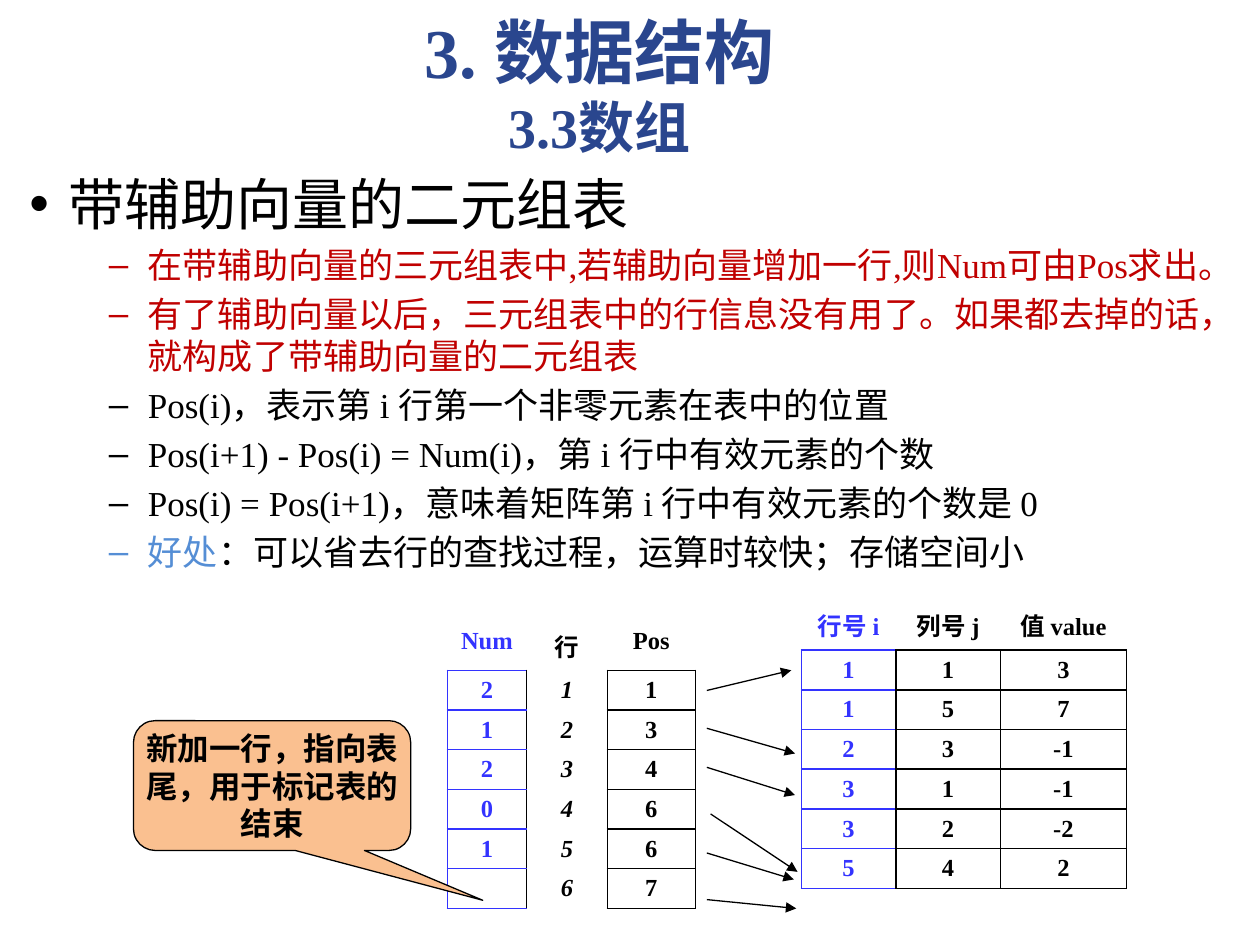
import pptx
import pptx.util
import pptx.dml.color
import pptx.enum.shapes
import pptx.enum.text
import pptx.oxml
from lxml import etree
from pptx.oxml.ns import qn
from pptx.util import Inches, Pt

RGB = pptx.dml.color.RGBColor
BLACK = RGB(0x00, 0x00, 0x00)
BLUE = RGB(0x33, 0x33, 0xFF)
NAVY = RGB(0x2A, 0x46, 0x8E)
RED = RGB(0xC0, 0x00, 0x00)
SKY = RGB(0x55, 0x8E, 0xD5)
PEACH = RGB(0xFA, 0xC0, 0x90)
SERIF, SANS, BULLET_FONT = "Times New Roman", "Noto Sans CJK SC", "Arial"
CENTER = pptx.enum.text.PP_ALIGN.CENTER
MIDDLE = pptx.enum.text.MSO_ANCHOR.MIDDLE

TITLE = [("3. 数据结构", 40), ("3.3数组", 32)]
HEADING = "带辅助向量的二元组表"
POINTS = [
    [("在带辅助向量的三元组表中,若辅助向量增加一行,则Num可由Pos求出。", RED)],
    [("有了辅助向量以后，三元组表中的行信息没有用了。如果都去掉的话，就构成了带辅助向量的二元组表", RED)],
    [("Pos(i)，表示第 i 行第一个非零元素在表中的位置", BLACK)],
    [("Pos(i+1) - Pos(i) = Num(i)，第 i 行中有效元素的个数", BLACK)],
    [("Pos(i) = Pos(i+1)，意味着矩阵第 i 行中有效元素的个数是 0", BLACK)],
    [("好处", SKY), ("：可以省去行的查找过程，运算时较快；存储空间小", BLACK)],
]
VECTORS = [
    ("Num", "行", "Pos"),
    ("2", "1", "1"),
    ("1", "2", "3"),
    ("2", "3", "4"),
    ("0", "4", "6"),
    ("1", "5", "6"),
    ("", "6", "7"),
]
TRIPLES = [
    ("", "行号 i", "列号 j", "值 value"),
    ("", "1", "1", "3"),
    ("", "1", "5", "7"),
    ("", "2", "3", "-1"),
    ("", "3", "1", "-1"),
    ("", "3", "2", "-2"),
    ("", "5", "4", "2"),
]
ARROWS = [  # from x, y, to x, y
    (5.61, 5.48, 6.28, 5.32),
    (5.61, 5.78, 6.31, 5.98),
    (5.61, 6.09, 6.31, 6.31),
    (5.64, 6.46, 6.33, 6.92),
    (5.61, 6.77, 6.30, 6.98),
    (5.61, 7.14, 6.32, 7.21),
]
CALLOUT = "新加一行，指向表尾，用于标记表的结束"
HEADER_HEIGHT, ROW_HEIGHT = 0.39, 0.315


def add_run(paragraph, text, size, color, font=SERIF, bold=False, italic=False):
    run = paragraph.add_run()
    run.text = text
    run.font.size, run.font.name = Pt(size), font
    run.font.bold, run.font.italic = bold, italic
    run.font.color.rgb = color
    etree.SubElement(run.font._element, qn("a:ea")).set("typeface", SANS)


def add_textbox(slide, left, top, width, height):
    frame = slide.shapes.add_textbox(*map(Inches, (left, top, width, height))).text_frame
    frame.word_wrap = True
    return frame


def set_bullet(paragraph, mark, indent, hanging):
    props = paragraph._p.get_or_add_pPr()
    props.set("marL", str(Inches(indent)))
    props.set("indent", str(-Inches(hanging)))
    etree.SubElement(props, qn("a:buFont")).set("typeface", BULLET_FONT)
    etree.SubElement(props, qn("a:buChar")).set("char", mark)


def set_borders(cell, colors):
    """Draw 1 pt borders on the sides in colors and clear the other sides."""
    props = cell._tc.get_or_add_tcPr()
    for position, side in enumerate("LRTB"):
        line = etree.Element(qn("a:ln" + side), w=str(Pt(1)))
        if side in colors:
            fill = etree.SubElement(line, qn("a:solidFill"))
            etree.SubElement(fill, qn("a:srgbClr")).set("val", str(colors[side]))
        else:
            etree.SubElement(line, qn("a:noFill"))
        props.insert(position, line)


def add_grid(slide, left, top, widths, rows, blue_col, open_col, italic_col=None):
    """Add a table with a blue key column and one column without its own box."""
    heights = [HEADER_HEIGHT] + [ROW_HEIGHT] * (len(rows) - 1)
    table = slide.shapes.add_table(
        len(rows), len(widths), Inches(left), Inches(top),
        Inches(sum(widths)), Inches(sum(heights))).table
    table.first_row = table.horz_banding = False
    for column, width in zip(table.columns, widths):
        column.width = Inches(width)
    for r, values in enumerate(rows):
        table.rows[r].height = Inches(heights[r])
        for c, value in enumerate(values):
            cell = table.cell(r, c)
            cell.margin_top, cell.margin_bottom = Inches(0.05), Inches(0.03)
            cell.fill.background()
            color = BLUE if c == blue_col else BLACK
            if c == open_col:
                sides = {"R": BLUE if c + 1 == blue_col else BLACK}
                if c > 0:
                    sides["L"] = BLACK
                sides = sides if r else {}
            elif r == 0:
                sides = {"B": color}
            else:
                sides = {"L": color, "T": color, "R": BLACK, "B": color}
            set_borders(cell, sides)
            paragraph = cell.text_frame.paragraphs[0]
            paragraph.alignment = CENTER
            if value:
                add_run(paragraph, value, 14, color, bold=True,
                        italic=r > 0 and c == italic_col)
            else:
                paragraph.font.size = Pt(14)


def add_arrow(slide, ends):
    arrow = slide.shapes.add_connector(
        pptx.enum.shapes.MSO_CONNECTOR.STRAIGHT, *map(Inches, ends))
    arrow.line.color.rgb = BLACK
    arrow.line.width = Pt(0.75)
    etree.SubElement(arrow.line._get_or_add_ln(), qn("a:tailEnd")).set("type", "triangle")
    etree.SubElement(arrow._element.spPr, qn("a:effectLst"))


def add_callout(slide):
    callout = slide.shapes.add_shape(
        pptx.enum.shapes.MSO_SHAPE.ROUNDED_RECTANGULAR_CALLOUT,
        *map(Inches, (1.06, 5.72, 2.2, 1.03)))
    for index, value in enumerate((0.76, 0.884, 0.167)):
        callout.adjustments[index] = value
    callout.shadow.inherit = False
    callout.fill.solid()
    callout.fill.fore_color.rgb = PEACH
    callout.line.color.rgb = BLACK
    callout.line.width = Pt(0.75)
    frame = callout.text_frame
    frame.word_wrap = True
    frame.vertical_anchor = MIDDLE
    frame.margin_left = frame.margin_right = Inches(0.02)
    frame.margin_top = frame.margin_bottom = Inches(0.01)
    paragraph = frame.paragraphs[0]
    paragraph.alignment = CENTER
    paragraph.line_spacing = Pt(21.6)
    add_run(paragraph, CALLOUT, 18, BLACK, SANS, bold=True)


def main():
    deck = pptx.Presentation()
    deck.slide_width, deck.slide_height = Inches(10), Inches(7.5)
    slide = deck.slides.add_slide(deck.slide_layouts[6])

    body = add_textbox(slide, 0.135, 1.3, 9.865, 3.87)
    heading = body.paragraphs[0]
    heading.line_spacing = Pt(38)
    set_bullet(heading, "•", 0.31, 0.31)
    add_run(heading, HEADING, 32, BLACK)
    for parts in POINTS:
        point = body.add_paragraph()
        point.level = 1
        point.line_spacing, point.space_before = Pt(24), Pt(4)
        set_bullet(point, "–", 0.94, 0.31)
        for text, color in parts:
            add_run(point, text, 20, color)

    add_grid(slide, 3.55, 4.93, (0.63, 0.64, 0.7), VECTORS,
             blue_col=0, open_col=1, italic_col=1)
    add_grid(slide, 5.94, 4.77, (0.42, 0.75, 0.83, 1), TRIPLES,
             blue_col=1, open_col=0)
    for ends in ARROWS:
        add_arrow(slide, ends)
    add_callout(slide)

    title = add_textbox(slide, 0.51, 0.01, 8.5, 1.31)
    title.vertical_anchor = MIDDLE
    for index, (text, size) in enumerate(TITLE):
        line = title.add_paragraph() if index else title.paragraphs[0]
        line.alignment = CENTER
        line.line_spacing = Pt(size * 1.2)
        add_run(line, text, size, NAVY, bold=True)

    deck.save("out.pptx")


if __name__ == "__main__":
    main()
